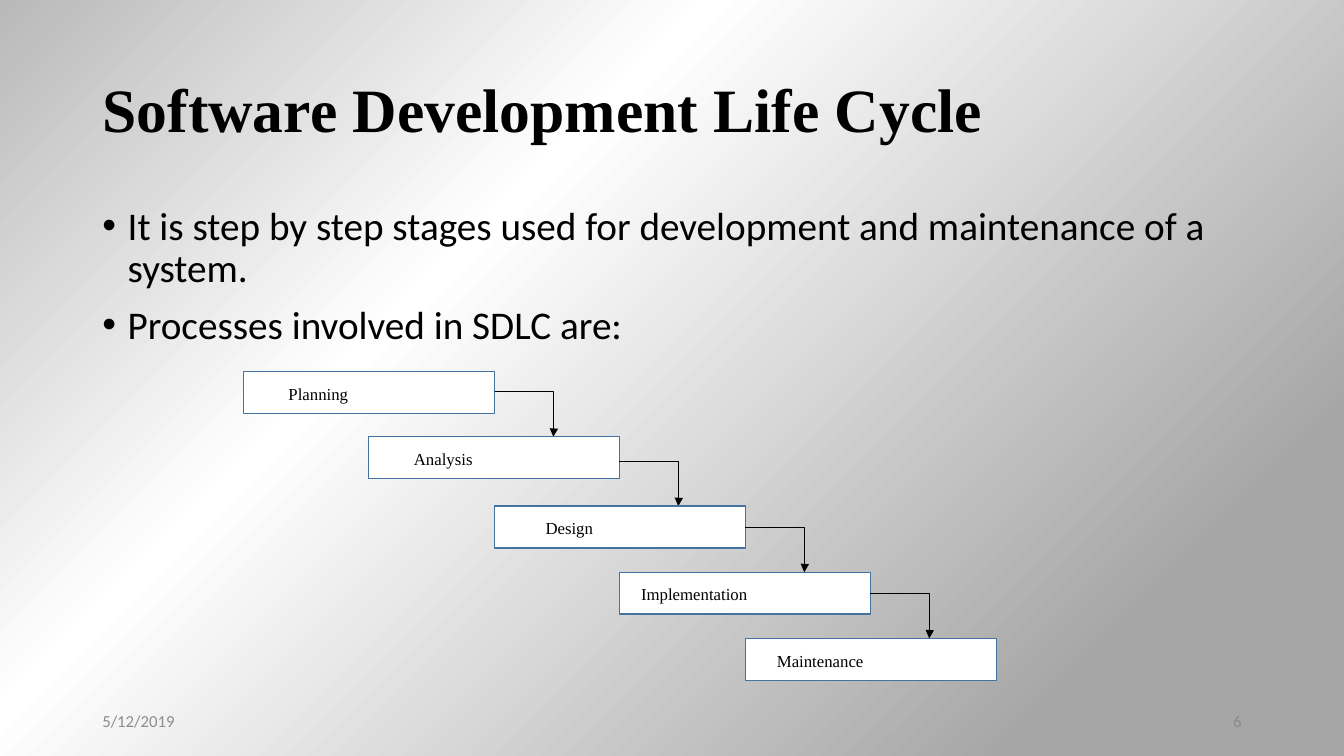
from copy import deepcopy

from lxml.etree import SubElement
from pptx import Presentation
from pptx.dml.color import RGBColor
from pptx.enum.shapes import MSO_CONNECTOR, MSO_SHAPE
from pptx.enum.text import MSO_ANCHOR, MSO_AUTO_SIZE, PP_ALIGN
from pptx.oxml.ns import qn
from pptx.util import Pt

PX = 9525  # 96 px to the inch
COLORS = {
    "black": "000000",
    "white": "FFFFFF",
    "outline": "43739E",
    "footer": "8C8C8C",
}
BACKGROUND_STOPS = [(0, "B9B9B9"), (34, "FFFFFF"), (84, "A6A6A6")]


def place(shape, left, top, width, height):
    shape.left, shape.top = left * PX, top * PX
    shape.width, shape.height = width * PX, height * PX


def style(paragraph, font_name, size, color, alignment=PP_ALIGN.LEFT):
    paragraph.alignment = alignment
    paragraph.font.name = font_name
    paragraph.font.size = Pt(size)
    paragraph.font.color.rgb = RGBColor.from_string(COLORS[color])


presentation = Presentation()
presentation.slide_width, presentation.slide_height = 1280 * PX, 720 * PX
slide = presentation.slides.add_slide(presentation.slide_layouts[1])
shapes = slide.shapes

# Background: diagonal gradient with three stops
background = slide.background.fill
background.gradient()
background.gradient_angle = 315
stop_list = next(slide.element.iter(qn("a:gsLst")))
stop_list.append(deepcopy(stop_list[-1]))
for stop, (percent, color) in zip(background.gradient_stops, BACKGROUND_STOPS):
    stop.position = percent / 100
    stop.color.rgb = RGBColor.from_string(color)

# Title
title = shapes.title
place(title, 88, 38, 1104, 139)
title.text_frame.text = "Software Development Life Cycle"
title.text_frame.auto_size = MSO_AUTO_SIZE.NONE
title.text_frame.vertical_anchor = MSO_ANCHOR.MIDDLE
paragraph = title.text_frame.paragraphs[0]
style(paragraph, "Times New Roman", 44, "black")
paragraph.font.bold = True
paragraph.line_spacing = 0.9

# Bulleted list
body = slide.placeholders[1]
place(body, 88, 192, 1104, 457)
body.text_frame.text = (
    "It is step by step stages used for development and maintenance of a system.\n"
    "Processes involved in SDLC are:"
)
body.text_frame.auto_size = MSO_AUTO_SIZE.NONE
for paragraph in body.text_frame.paragraphs:
    style(paragraph, "Calibri", 28, "black")
    paragraph.line_spacing = 0.9
    paragraph.space_before = Pt(10)
    properties = paragraph._p.get_or_add_pPr()
    properties.set("marL", str(24 * PX))
    properties.set("indent", str(-24 * PX))

# Date and slide number
for text, left, alignment in [
    ("5/12/2019", 88, PP_ALIGN.LEFT),
    ("6", 904, PP_ALIGN.RIGHT),
]:
    footer = shapes.add_textbox(left * PX, 667 * PX, 288 * PX, 38 * PX)
    footer.text_frame.word_wrap = True
    footer.text_frame.vertical_anchor = MSO_ANCHOR.MIDDLE
    footer.text_frame.text = text
    style(footer.text_frame.paragraphs[0], "Calibri", 12, "footer", alignment)

# Stages: each box starts half a box further right
STAGE_LEFT, STAGE_WIDTH, STAGE_HEIGHT = 232, 239, 40
ARROW_WIDTH, ARROW_HEIGHT = 56, 43
stages = [
    ("Planning", 354),
    ("Analysis", 416),
    ("Design", 482),
    ("Implementation", 545),
    ("Maintenance", 608),
]
for index, (name, top) in enumerate(stages):
    left = STAGE_LEFT + index * STAGE_WIDTH // 2
    stage = shapes.add_shape(
        MSO_SHAPE.RECTANGLE, left * PX, top * PX, STAGE_WIDTH * PX, STAGE_HEIGHT * PX
    )
    stage.shadow.inherit = False
    stage.fill.solid()
    stage.fill.fore_color.rgb = RGBColor.from_string(COLORS["white"])
    stage.line.color.rgb = RGBColor.from_string(COLORS["outline"])
    stage.line.width = Pt(1)
    frame = stage.text_frame
    frame.margin_right = 106 * PX  # keeps the label left of the middle
    frame.vertical_anchor = MSO_ANCHOR.MIDDLE
    frame.text = name
    paragraph = frame.paragraphs[0]
    style(paragraph, "Times New Roman", 12, "black", PP_ALIGN.CENTER)
    paragraph.line_spacing = 1.1
    paragraph.space_after = Pt(5.6)

    # Arrow down to the next stage
    if index < len(stages) - 1:
        start = left + STAGE_WIDTH
        end = stages[index + 1][1]
        arrow = shapes.add_connector(
            MSO_CONNECTOR.ELBOW,
            start * PX,
            (end - ARROW_HEIGHT) * PX,
            (start + ARROW_WIDTH) * PX,
            end * PX,
        )
        arrow.line.color.rgb = RGBColor.from_string(COLORS["black"])
        arrow.line.width = Pt(0.5)
        arrow_properties = arrow._element.spPr
        guides = next(arrow_properties.iter(qn("a:avLst")))
        SubElement(guides, qn("a:gd"), name="adj1", fmla="val 100900")
        line = arrow_properties.find(qn("a:ln"))
        SubElement(line, qn("a:tailEnd"), type="triangle")
        SubElement(arrow_properties, qn("a:effectLst"))

presentation.save("out.pptx")
